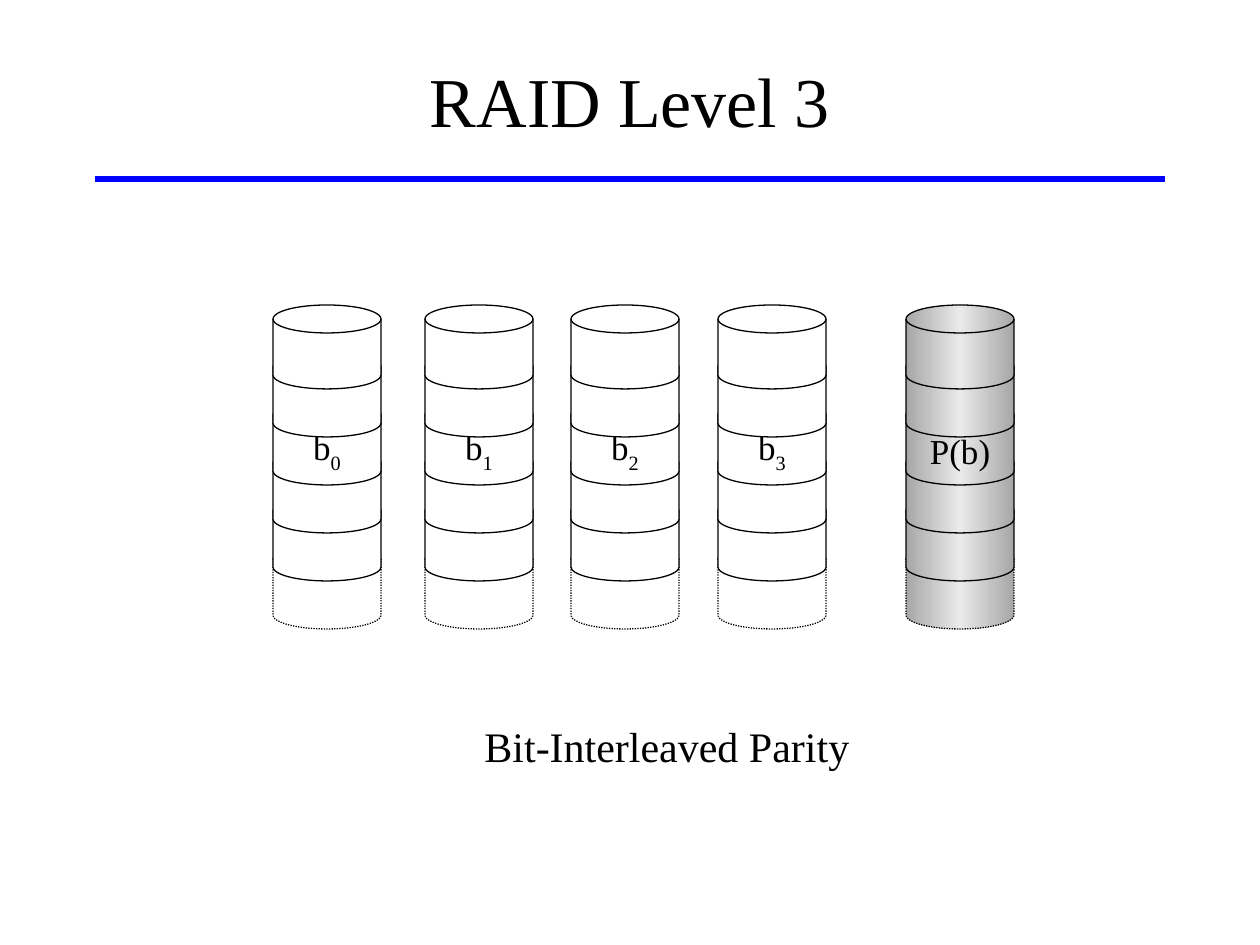
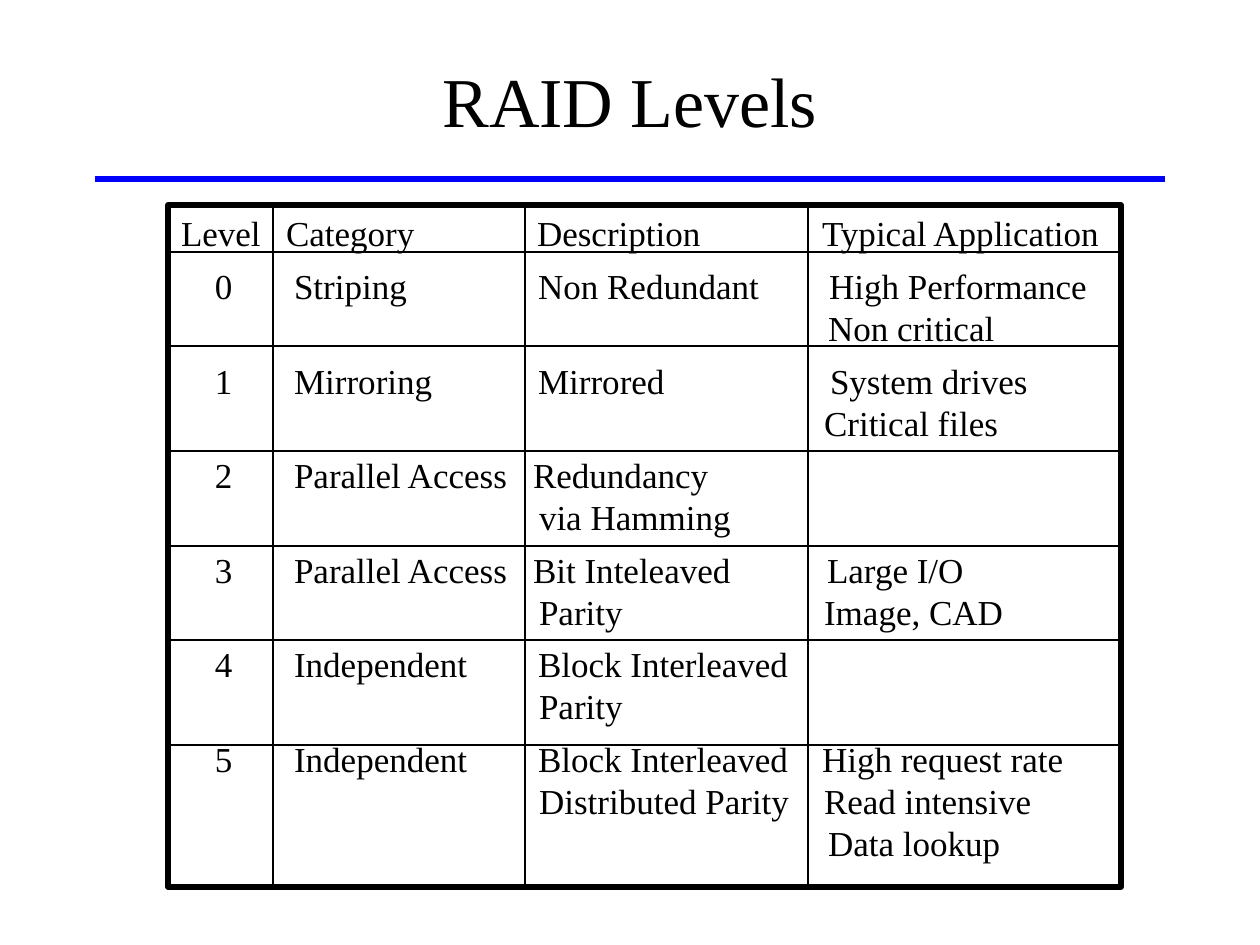
"""Build two slides on RAID: the level 3 disk layout and a grid of levels."""
from copy import deepcopy

from pptx import Presentation
from pptx.dml.color import RGBColor
from pptx.enum.dml import MSO_LINE_DASH_STYLE as Dash
from pptx.enum.shapes import MSO_CONNECTOR as Connector, MSO_SHAPE as Shape
from pptx.enum.text import MSO_ANCHOR as Anchor, PP_ALIGN as Align
from pptx.oxml.ns import qn
from pptx.oxml.xmlchemy import OxmlElement
from pptx.util import Emu, Pt

BLACK = RGBColor(0x00, 0x00, 0x00)
WHITE = RGBColor(0xFF, 0xFF, 0xFF)
BLUE = RGBColor(0x00, 0x00, 0xFF)
LIGHT_GREY = RGBColor(0xEA, 0xEA, 0xEA)
EDGE_SHADE = "46275"

SCALE = 914400 / 126
DISK_WIDTH, DISK_HEIGHT, DISK_TOP, DISK_STEP, DISK_COUNT = 108, 84, 305, 48, 6
LABELLED_DISK = 2

DISKS = [
    (273, "b", "0", False),
    (425, "b", "1", False),
    (571, "b", "2", False),
    (718, "b", "3", False),
    (906, "P(b)", "", True),
]

COLUMN_EDGES = [168, 273, 525, 808, 1121]
ROW_EDGES = [205, 252, 346, 451, 546, 640, 745, 887]
TEXT_LEFT = 181
LEVELS = [
    [{181: "Level", 286: "Category", 537: "Description", 822: "Typical Application"}],
    [{215: "0", 294: "Striping", 538: "Non Redundant", 829: "High Performance"},
     {828: "Non critical"}],
    [{215: "1", 294: "Mirroring", 538: "Mirrored", 830: "System drives"},
     {824: "Critical files"}],
    [{215: "2", 294: "Parallel Access", 533: "Redundancy"},
     {539: "via Hamming"}],
    [{215: "3", 294: "Parallel Access", 533: "Bit Inteleaved", 827: "Large I/O"},
     {539: "Parity", 824: "Image, CAD"}],
    [{215: "4", 294: "Independent", 538: "Block Interleaved"},
     {539: "Parity"}],
    [{215: "5", 294: "Independent", 538: "Block Interleaved", 822: "High request rate"},
     {539: "Distributed Parity", 824: "Read intensive"},
     {828: "Data lookup"}],
]


def px(length):
    """Turn pixels into EMU."""
    return Emu(round(length * SCALE))


def apply(target, **values):
    """Set each named attribute on the target."""
    for name, value in values.items():
        setattr(target, name, value)


class Deck:
    """Hold the shared style and the current slide."""

    font = {"name": "Times New Roman"}

    def __init__(self):
        """Start an empty presentation."""
        self.presentation = Presentation()
        apply(self.presentation, slide_width=px(1260), slide_height=px(945))
        self.slide = None

    def new_slide(self, title):
        """Add a slide with its blue rule and title."""
        self.slide = self.presentation.slides.add_slide(self.presentation.slide_layouts[6])
        self.line(95, 179, 1165, 179, BLUE, 3)
        self.text(title, 95, 21, 1070, 158, 40, wrap=True, anchor=Anchor.MIDDLE)

    def line(self, x1, y1, x2, y2, colour=BLACK, width=0.75):
        """Draw a straight line."""
        connector = self.slide.shapes.add_connector(
            Connector.STRAIGHT, px(x1), px(y1), px(x2), px(y2))
        connector.line.color.rgb = colour
        connector.line.width = Pt(width)
        connector._element.spPr.append(OxmlElement("a:effectLst"))

    def run(self, paragraph, text, size):
        """Add a run in the shared font."""
        run = paragraph.add_run()
        run.text = text
        apply(run.font, size=Pt(size), **self.font)
        run.font.color.rgb = BLACK
        return run

    def text(self, text, left, top, width, height, size, wrap=False, anchor=Anchor.TOP):
        """Add a centred text box."""
        box = self.slide.shapes.add_textbox(px(left), px(top), px(width), px(height))
        apply(box.text_frame, word_wrap=wrap, vertical_anchor=anchor)
        paragraph = box.text_frame.paragraphs[0]
        paragraph.alignment = Align.CENTER
        self.run(paragraph, text, size)

    def shade(self, shape):
        """Fill a shape with a light gradient that darkens at both edges."""
        shape.fill.gradient()
        shape.fill.gradient_angle = 0
        stops = shape._element.spPr.find(qn("a:gradFill")).find(qn("a:gsLst"))
        stops.insert(1, deepcopy(stops[0]))
        for stop, element, position in zip(shape.fill.gradient_stops, stops, (0, 0.5, 1)):
            stop.position = position
            stop.color.rgb = LIGHT_GREY
            if position != 0.5:
                darkening = OxmlElement("a:shade")
                darkening.set("val", EDGE_SHADE)
                element.find(qn("a:srgbClr")).append(darkening)

    def disk(self, left, label, subscript, shaded):
        """Stack cylinders from the dotted bottom up and label one."""
        group = self.slide.shapes.add_group_shape()
        for level in reversed(range(DISK_COUNT)):
            shape = group.shapes.add_shape(
                Shape.FLOWCHART_MAGNETIC_DISK, px(left), px(DISK_TOP + level * DISK_STEP),
                px(DISK_WIDTH), px(DISK_HEIGHT))
            shape.shadow.inherit = False
            if shaded:
                self.shade(shape)
            else:
                shape.fill.solid()
                shape.fill.fore_color.rgb = WHITE
            shape.line.color.rgb = BLACK
            shape.line.width = Pt(0.75)
            if level == DISK_COUNT - 1:
                shape.line.dash_style = Dash.ROUND_DOT
            if level == LABELLED_DISK:
                apply(shape.text_frame, word_wrap=False, vertical_anchor=Anchor.MIDDLE)
                paragraph = shape.text_frame.paragraphs[0]
                paragraph.alignment = Align.CENTER
                self.run(paragraph, label, 20)
                if subscript:
                    run = self.run(paragraph, subscript, 20)
                    run.font._element.set("baseline", "-30000")

    def tabbed(self, paragraph, entries):
        """Write entries at their horizontal positions by tab stops."""
        tab_list = OxmlElement("a:tabLst")
        for left in entries:
            if left > TEXT_LEFT:
                tab = OxmlElement("a:tab")
                tab.set("pos", str(px(left - TEXT_LEFT)))
                tab.set("algn", "l")
                tab_list.append(tab)
        paragraph._p.get_or_add_pPr().append(tab_list)
        lead = "\t" if min(entries) > TEXT_LEFT else ""
        self.run(paragraph, lead + "\t".join(entries.values()), 20)

    def grid(self, rows, column_edges, row_edges):
        """Draw a thick frame with tabbed text and thin inner lines."""
        left, right = column_edges[0], column_edges[-1]
        top, bottom = row_edges[0], row_edges[-1]
        frame = self.slide.shapes.add_shape(
            Shape.RECTANGLE, px(left), px(top), px(right - left), px(bottom - top))
        frame.shadow.inherit = False
        frame.fill.background()
        frame.line.color.rgb = BLACK
        frame.line.width = Pt(3)
        text_frame = frame.text_frame
        apply(text_frame, word_wrap=True, vertical_anchor=Anchor.TOP,
              margin_left=px(TEXT_LEFT - left), margin_right=0,
              margin_top=px(7), margin_bottom=0)
        paragraph = text_frame.paragraphs[0]
        for row in rows:
            for entries in row:
                if paragraph.runs:
                    paragraph = text_frame.add_paragraph()
                gap = Pt(6) if entries is row[-1] else Pt(0)
                apply(paragraph, alignment=Align.LEFT, line_spacing=Pt(24), space_after=gap)
                self.tabbed(paragraph, entries)
        for y in row_edges[1:-1]:
            self.line(left, y, right, y)
        for x in column_edges[1:-1]:
            self.line(x, top, x, bottom)


deck = Deck()

deck.new_slide("RAID Level 3")
for disk in DISKS:
    deck.disk(*disk)
deck.text("Bit-Interleaved Parity", 472, 714, 390, 63, 24)

deck.new_slide("RAID Levels")
deck.grid(LEVELS, COLUMN_EDGES, ROW_EDGES)

deck.presentation.save("out.pptx")
